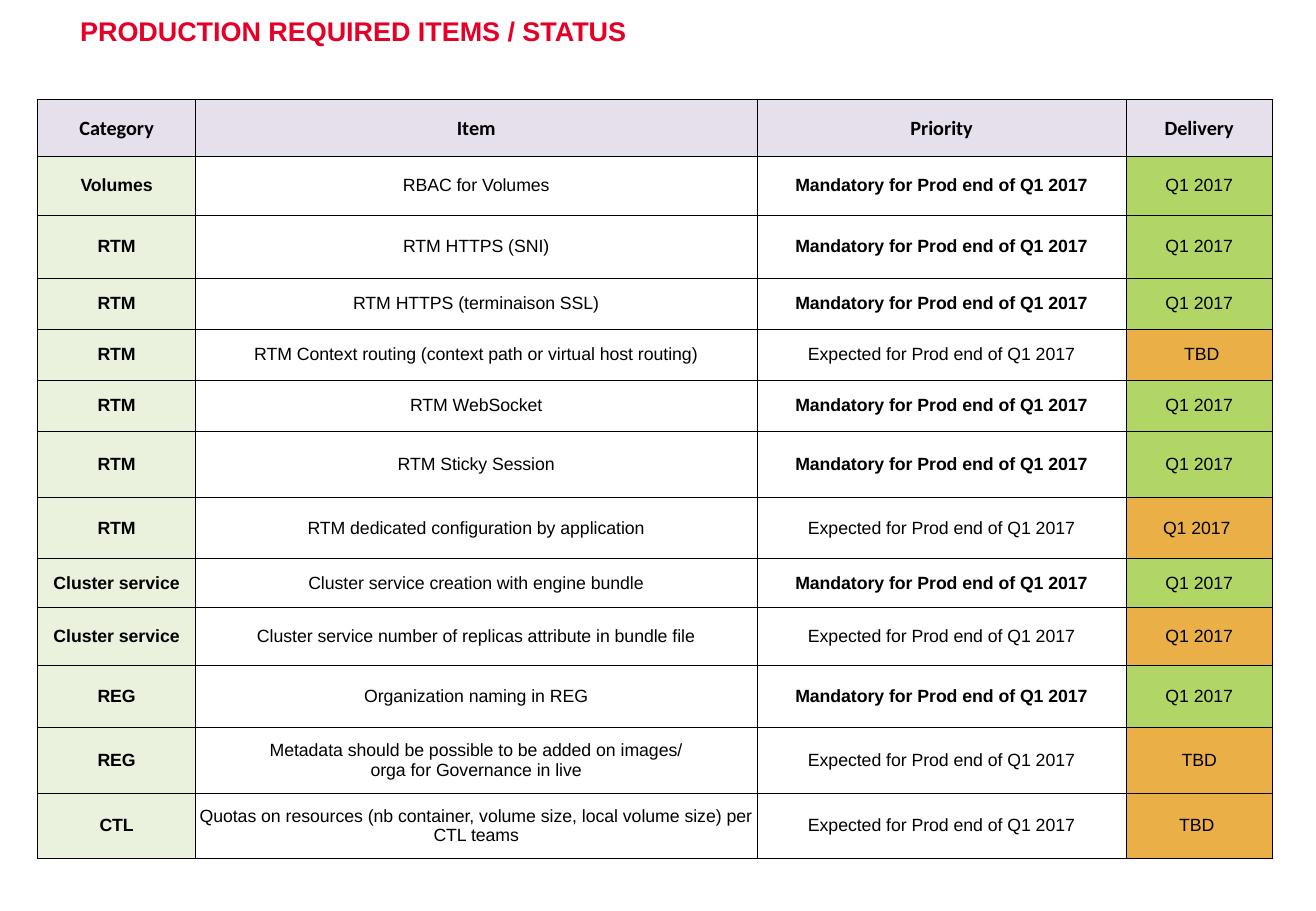
import pptx
import pptx.util
import pptx.dml.color
import pptx.enum.text
import pptx.oxml
import pptx.oxml.ns

Inches = pptx.util.Inches
COLORS = {"title": "E60028", "text": "000000", "header": "E5E0EC",
          "category": "EAF1DD", "on_track": "B2D665", "at_risk": "EBAF47"}


def rgb(name):
    return pptx.dml.color.RGBColor.from_string(COLORS[name])


def write(frame, text, size=10.5, font="Arial", color="text", bold=False,
          align="CENTER", line_spacing=None):
    """Fill a text frame, one paragraph per line of text."""
    frame.word_wrap = True
    for index, line in enumerate(text.split("\n")):
        paragraph = frame.paragraphs[0] if index == 0 else frame.add_paragraph()
        paragraph.alignment = pptx.enum.text.PP_ALIGN[align]
        if line_spacing:
            paragraph.line_spacing = line_spacing
        run = paragraph.add_run()
        run.text = line
        run.font.size = pptx.util.Pt(size)
        run.font.name = font
        run.font.bold = bold
        run.font.color.rgb = rgb(color)


class StatusSlide:
    def __init__(self, presentation):
        self.border_width = pptx.util.Pt(0.5)
        self.slide = presentation.slides.add_slide(presentation.slide_layouts[5])

    def title(self, text, left, top, width, height):
        heading = self.slide.shapes.title
        heading.left, heading.top = Inches(left), Inches(top)
        heading.width, heading.height = Inches(width), Inches(height)
        frame = heading.text_frame
        frame.margin_left = frame.margin_right = 0
        frame.margin_top = frame.margin_bottom = 0
        frame.auto_size = pptx.enum.text.MSO_AUTO_SIZE.NONE
        frame.vertical_anchor = pptx.enum.text.MSO_ANCHOR.BOTTOM
        write(frame, text, size=16, color="title", bold=True, align="LEFT",
              line_spacing=0.9)

    def table(self, left, top, widths, heights):
        grid = self.slide.shapes.add_table(
            len(heights), len(widths), Inches(left), Inches(top),
            Inches(sum(widths)), Inches(sum(heights))).table
        for column, width in zip(grid.columns, widths):
            column.width = Inches(width)
        for row, height in zip(grid.rows, heights):
            row.height = Inches(height)
        return grid

    def cell(self, cell, text, fill=None, **text_format):
        cell.margin_left = cell.margin_right = 0
        cell.margin_top = cell.margin_bottom = 0
        cell.vertical_anchor = pptx.enum.text.MSO_ANCHOR.MIDDLE
        if fill:
            cell.fill.solid()
            cell.fill.fore_color.rgb = rgb(fill)
        else:
            cell.fill.background()
        self.borders(cell)
        write(cell.text_frame, text, **text_format)

    def borders(self, cell):
        properties = cell._tc.get_or_add_tcPr()
        for index, side in enumerate("LRTB"):
            properties.insert(index, pptx.oxml.parse_xml(
                f'<a:ln{side} {pptx.oxml.ns.nsdecls("a")} w="{self.border_width}">'
                f'<a:solidFill><a:srgbClr val="{COLORS["text"]}"/></a:solidFill>'
                f'</a:ln{side}>'))


# Content: category, item, mandatory, delivery, row height
HEADERS = ["Category", "Item", "Priority", "Delivery"]
HEADER_HEIGHT = 0.47
REQUIREMENTS = [
    ("Volumes", "RBAC for Volumes", True, "Q1 2017", 0.48),
    ("RTM", "RTM HTTPS (SNI)", True, "Q1 2017", 0.52),
    ("RTM", "RTM HTTPS (terminaison SSL)", True, "Q1 2017", 0.42),
    ("RTM", "RTM Context routing (context path or virtual host routing)",
     False, "\u00a0TBD", 0.42),
    ("RTM", "RTM WebSocket", True, "Q1 2017", 0.42),
    ("RTM", "RTM Sticky Session", True, "Q1 2017", 0.55),
    ("RTM", "RTM dedicated configuration by application",
     False, "Q1 2017\u00a0", 0.5),
    ("Cluster service", "Cluster service creation with engine bundle",
     True, "Q1 2017", 0.4),
    ("Cluster service", "Cluster service number of replicas attribute in bundle file",
     False, "Q1 2017", 0.48),
    ("REG", "Organization naming in REG", True, "Q1 2017", 0.51),
    ("REG", "Metadata should be possible to be added on images/\n"
            "orga for Governance in live", False, "TBD", 0.54),
    ("CTL", "Quotas on resources (nb container, volume size, local volume size) "
            "per CTL teams", False, "TBD\u00a0", 0.54),
]

presentation = pptx.Presentation()
presentation.slide_width, presentation.slide_height = Inches(10.83), Inches(7.5)
status = StatusSlide(presentation)

# Title
status.title("PRODUCTION REQUIRED ITEMS / STATUS", 0.66, 0.08, 8.34, 0.31)

# Table header
row_heights = [HEADER_HEIGHT] + [requirement[-1] for requirement in REQUIREMENTS]
requirements_table = status.table(0.31, 0.82, [1.3, 4.62, 3.04, 1.2], row_heights)
for column, header in enumerate(HEADERS):
    status.cell(requirements_table.cell(0, column), header, fill="header",
                size=12, font="Calibri", bold=True)

# Requirements: mandatory ones are on track, expected ones at risk
for row, (category, item, mandatory, delivery, _) in enumerate(REQUIREMENTS, 1):
    category_cell, item_cell, priority_cell, delivery_cell = (
        requirements_table.cell(row, column) for column in range(len(HEADERS)))
    priority = "Mandatory" if mandatory else "Expected"
    status.cell(category_cell, category, fill="category", bold=True)
    status.cell(item_cell, item)
    status.cell(priority_cell, f"{priority} for Prod end of Q1 2017", bold=mandatory)
    status.cell(delivery_cell, delivery, fill="on_track" if mandatory else "at_risk")

presentation.save("out.pptx")
